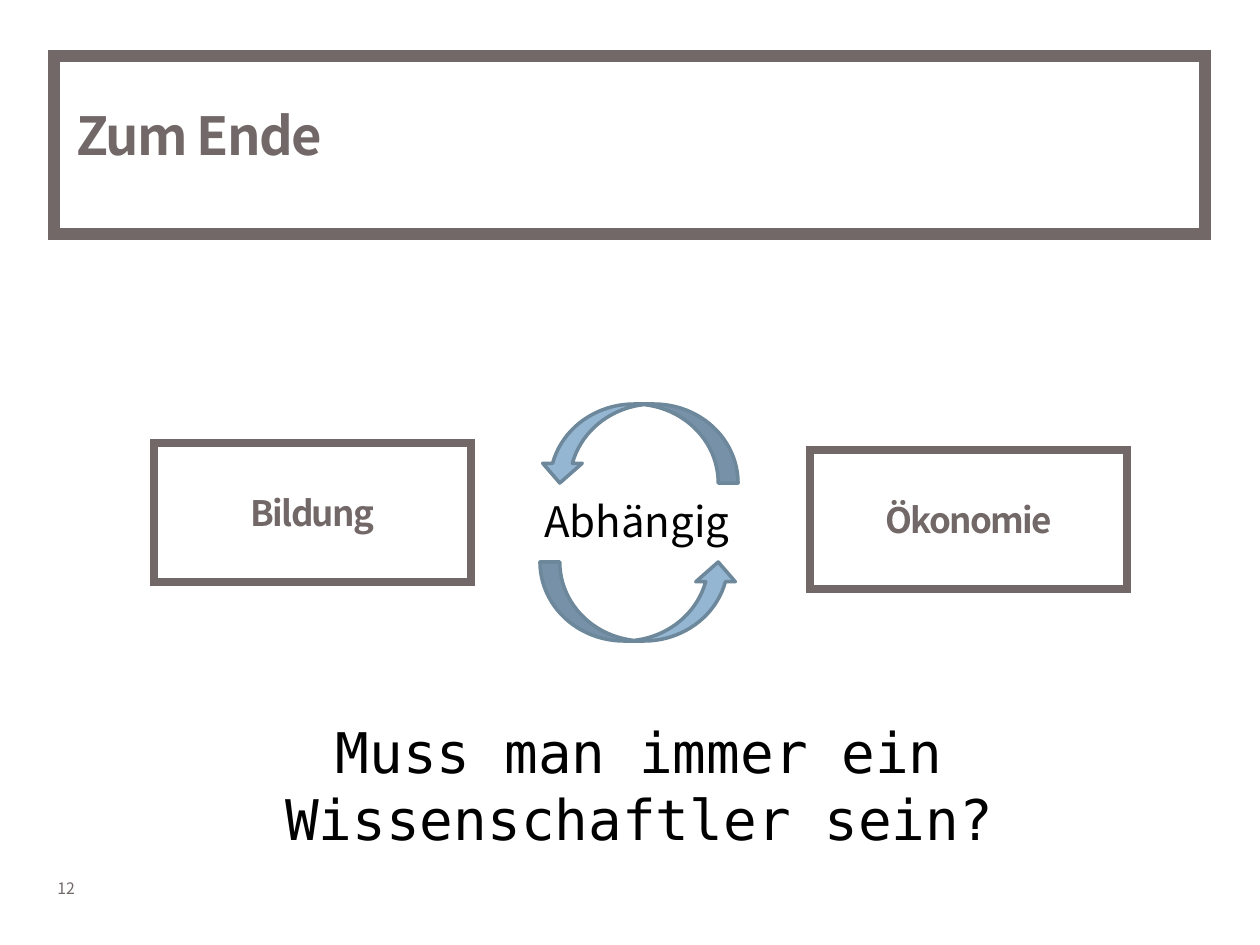
from lxml import etree
from pptx import Presentation
from pptx import util as u
from pptx.dml.color import RGBColor
from pptx.enum import shapes, text
from pptx.oxml.ns import qn

EMU_PER_PX = 914400 / 126
COLORS = {"taupe": "726868", "blue": "94B6D2", "edge": "6D879B", "black": "000000"}
SANS, MONO = "Noto Sans CJK KR", "DejaVu Sans Mono"


def px(length):
    return u.Emu(round(length * EMU_PER_PX))


def rgb(name):
    return RGBColor.from_string(COLORS[name])


def write(frame, words, size, color="taupe", font=SANS, bold=False,
          spacing=0, align=text.PP_ALIGN.LEFT, middle=False, wrap=True):
    frame.word_wrap = wrap
    frame.vertical_anchor = text.MSO_ANCHOR.MIDDLE if middle else text.MSO_ANCHOR.TOP
    para = frame.paragraphs[0]
    para.alignment = align
    span = para.add_run()
    span.text = words
    span.font.name = font
    span.font.size = u.Pt(size)
    span.font.bold = bold
    span.font.color.rgb = rgb(color)
    if spacing:
        span._r.get_or_add_rPr().set("spc", str(spacing * 100))


class Page:
    """Holds the current slide and draws each kind of element on it."""

    def __init__(self, deck):
        self.slide = deck.slides.add_slide(deck.slide_layouts[6])

    def shape(self, kind, area, line, weight, fill=None):
        shape = self.slide.shapes.add_shape(kind, *map(px, area))
        shape.shadow.inherit = False
        if fill:
            shape.fill.solid()
            shape.fill.fore_color.rgb = rgb(fill)
        else:
            shape.fill.background()
        shape.line.color.rgb = rgb(line)
        shape.line.width = u.Pt(weight)
        return shape

    def frame(self, area, weight, words=None):
        box = self.shape(shapes.MSO_SHAPE.RECTANGLE, area, "taupe", weight)
        # Sharp corners
        etree.SubElement(box.line._get_or_add_ln(), qn("a:miter"), lim="800000")
        if words:
            write(box.text_frame, words, 20, bold=True, spacing=-1,
                  align=text.PP_ALIGN.CENTER, middle=True)

    def arrow(self, area, rotation=0):
        arrow = self.shape(shapes.MSO_SHAPE.CURVED_UP_ARROW, area, "edge", 2, "blue")
        arrow.rotation = rotation

    def label(self, area, words, size, **style):
        box = self.slide.shapes.add_textbox(*map(px, area))
        write(box.text_frame, words, size, **style)


def main():
    deck = Presentation()
    deck.slide_width, deck.slide_height = px(1260), px(945)
    page = Page(deck)
    center = text.PP_ALIGN.CENTER

    # Page number and title
    page.label((45, 873, 66, 32), "12", 9, wrap=False)
    page.label((64, 55, 903, 159), "Zum Ende", 30, bold=True, spacing=-1, middle=True)
    page.frame((54, 56, 1151, 178), 7)

    # The two fields
    page.frame((154, 443, 317, 139), 4.5, "Bildung")
    page.frame((810, 450, 317, 139), 4.5, "Ökonomie")

    # Mutual dependence
    page.arrow((540, 562, 198, 79))
    page.arrow((540, 404, 198, 79), rotation=180)
    page.label((492, 489, 290, 63), "Abhängig", 24, color="black", align=center)

    # Closing question
    page.label((64, 711, 1151, 81), "Muss man immer ein Wissenschaftler sein?", 32,
               color="black", font=MONO, align=center)

    deck.save("out.pptx")


if __name__ == "__main__":
    main()
